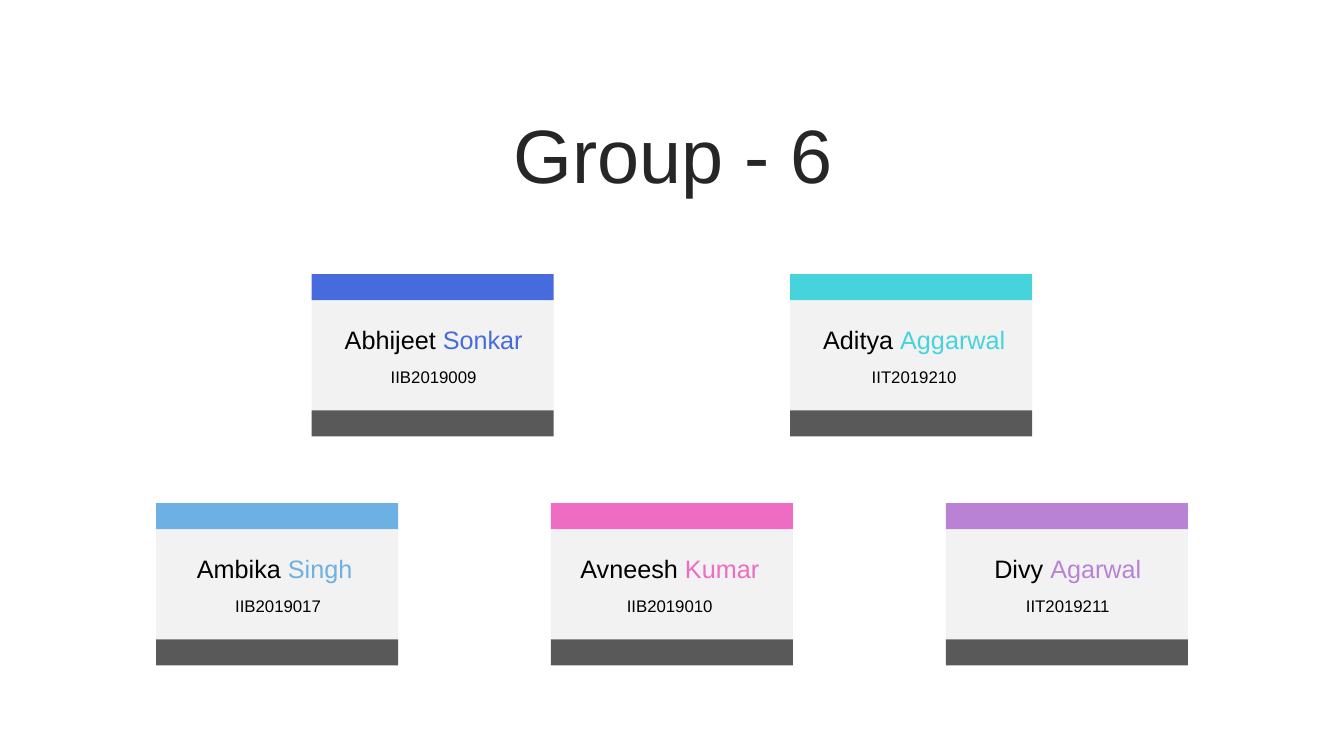
from pptx import Presentation
from pptx.dml.color import RGBColor
from pptx.enum.shapes import MSO_SHAPE
from pptx.enum.text import MSO_ANCHOR, PP_ALIGN
from pptx.util import Cm, Pt

COLORS = {
    "title": "262626",
    "text": "000000",
    "panel": "F2F2F2",
    "footer": "595959",
    "blue": "476ADD",
    "cyan": "47D3DC",
    "sky": "6DB0E4",
    "pink": "EE6CC1",
    "purple": "B982D5",
}
SLIDE_WIDTH, SLIDE_HEIGHT = 33.87, 19.05
CARD_WIDTH, BAR_HEIGHT, PANEL_HEIGHT = 6.1, 0.66, 2.77
LABEL_WIDTH = 5.23
ROWS = [
    (6.91, 12.06, [
        ("Abhijeet ", "Sonkar", "IIB2019009", "blue", 0),
        ("Aditya ", "Aggarwal", "IIT2019210", "cyan", 0.05),
    ]),
    (12.68, 9.95, [
        ("Ambika ", "Singh ", "IIB2019017", "sky", 0),
        ("Avneesh ", "Kumar", "IIB2019010", "pink", -0.08),
        ("Divy ", "Agarwal", "IIT2019211", "purple", 0),
    ]),
]


def add_bar(shapes, left, top, height, color):
    shape = shapes.add_shape(
        MSO_SHAPE.RECTANGLE, Cm(left), Cm(top), Cm(CARD_WIDTH), Cm(height))
    shape.shadow.inherit = False
    shape.fill.solid()
    shape.fill.fore_color.rgb = RGBColor.from_string(COLORS[color])
    shape.line.fill.background()


def add_label(shapes, left, top, width, height, parts, size):
    box = shapes.add_textbox(Cm(left), Cm(top), Cm(width), Cm(height))
    text_frame = box.text_frame
    text_frame.word_wrap = True
    text_frame.vertical_anchor = MSO_ANCHOR.MIDDLE
    text_frame.margin_left = Cm(0.3)
    text_frame.margin_right = Cm(0.25)
    paragraph = text_frame.paragraphs[0]
    paragraph.alignment = PP_ALIGN.CENTER
    for text, color in parts:
        run = paragraph.add_run()
        run.text = text
        run.font.name = "Arial"
        run.font.size = Pt(size)
        run.font.color.rgb = RGBColor.from_string(COLORS[color])
    return paragraph


def add_title(slide, left, top, width, height):
    paragraph = add_label(
        slide.shapes, left, top, width, height, [("Group - 6", "title")], 54)
    paragraph.line_spacing = 0.9


def add_card(slide, left, top, member):
    first_name, surname, roll_number, accent, label_shift = member
    shapes = slide.shapes.add_group_shape().shapes
    panel_top = top + BAR_HEIGHT
    add_bar(shapes, left, top, BAR_HEIGHT, accent)
    add_bar(shapes, left, panel_top, PANEL_HEIGHT, "panel")
    add_bar(shapes, left, panel_top + PANEL_HEIGHT, BAR_HEIGHT, "footer")
    label_left = left + (CARD_WIDTH - LABEL_WIDTH) / 2 + label_shift
    add_label(shapes, label_left, top + 1.2, LABEL_WIDTH, 0.91,
              [(first_name, "text"), (surname, accent)], 18)
    add_label(shapes, label_left, top + 2.29, LABEL_WIDTH, 0.6,
              [(roll_number, "text")], 12)


def add_card_row(slide, top, pitch, members):
    row_width = pitch * (len(members) - 1) + CARD_WIDTH
    row_left = (SLIDE_WIDTH - row_width) / 2
    for index, member in enumerate(members):
        add_card(slide, row_left + index * pitch, top, member)


def main():
    presentation = Presentation()
    presentation.slide_width = Cm(SLIDE_WIDTH)
    presentation.slide_height = Cm(SLIDE_HEIGHT)
    slide = presentation.slides.add_slide(presentation.slide_layouts[6])
    add_title(slide, 0.86, 3, 32.15, 2)
    for top, pitch, members in ROWS:
        add_card_row(slide, top, pitch, members)
    presentation.save("out.pptx")


if __name__ == "__main__":
    main()
